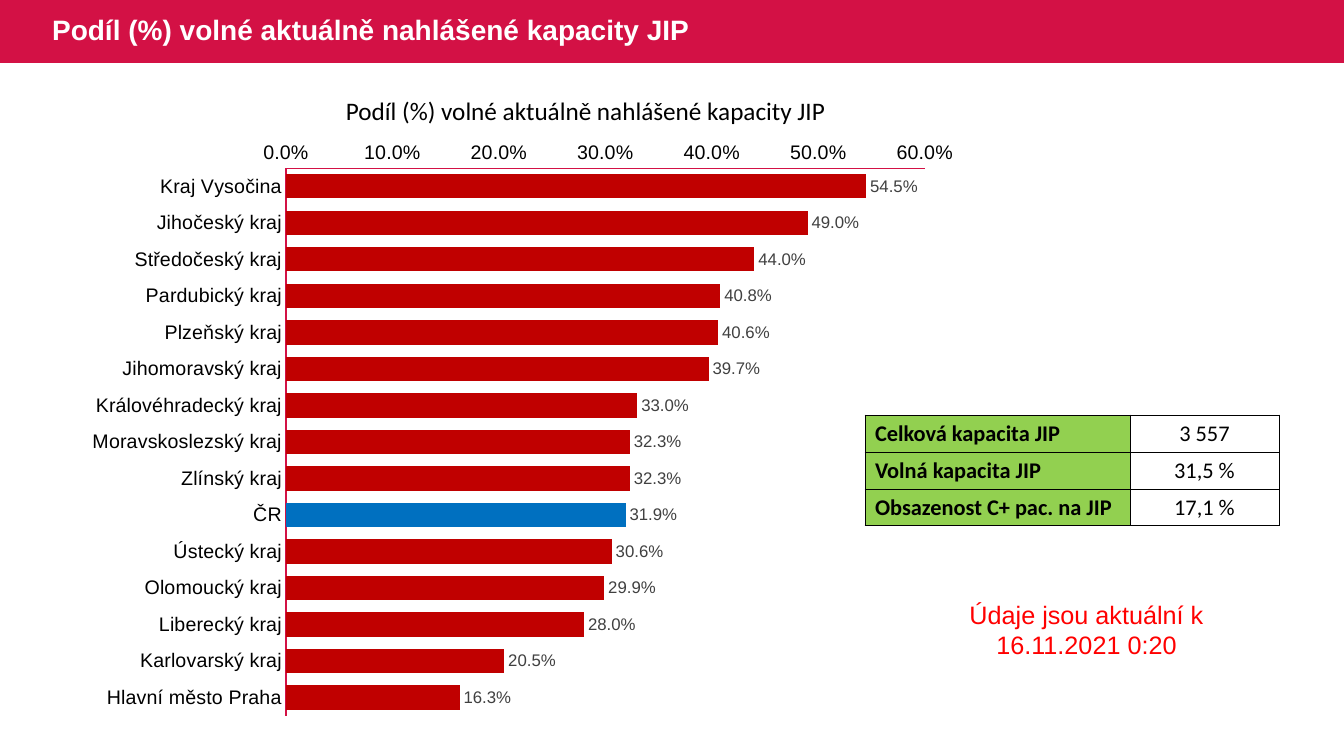
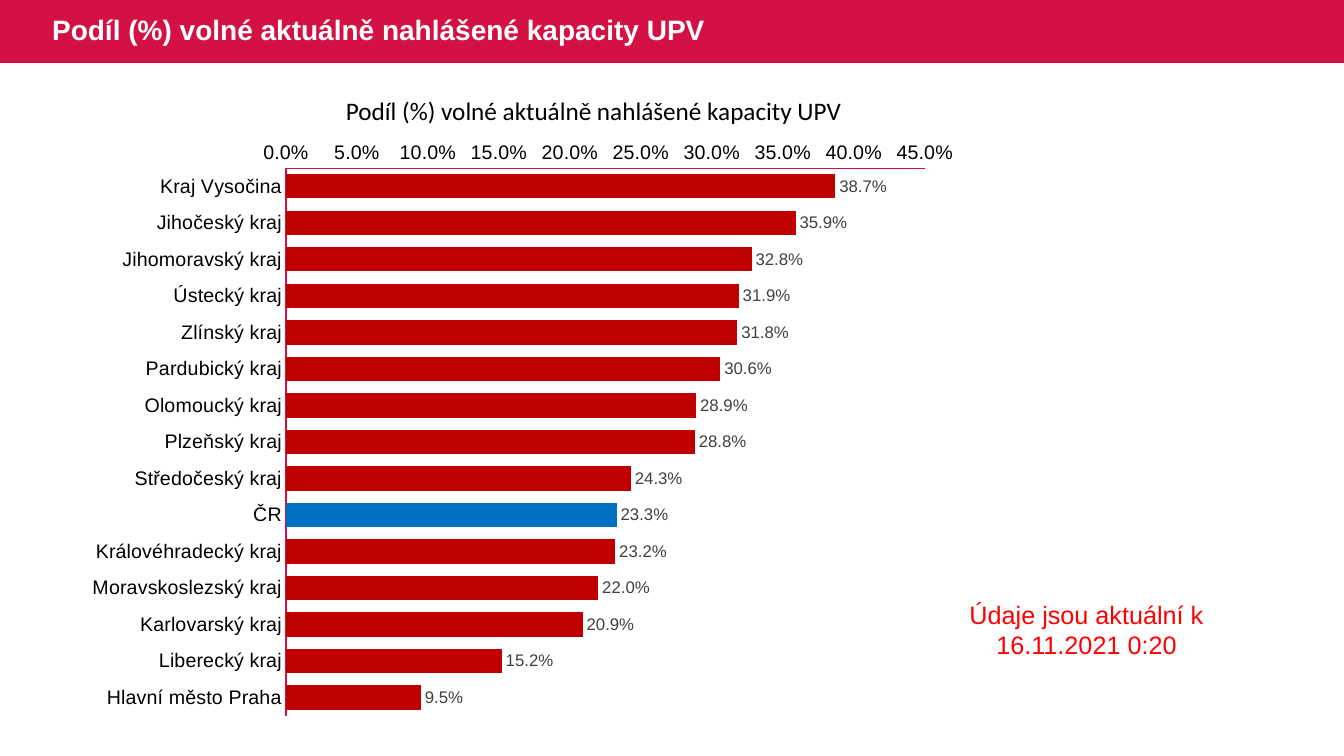
from dataclasses import dataclass

from lxml.etree import SubElement
from pptx import Presentation
from pptx.chart.data import CategoryChartData
from pptx.dml.color import RGBColor
from pptx.enum.chart import XL_CHART_TYPE, XL_LABEL_POSITION, XL_TICK_MARK
from pptx.enum.shapes import MSO_SHAPE
from pptx.enum.text import MSO_ANCHOR, MSO_AUTO_SIZE, PP_ALIGN
from pptx.oxml import parse_xml
from pptx.oxml.ns import nsdecls, qn
from pptx.util import Emu, Pt


# Theme: colours, type styles and line width
@dataclass(frozen=True)
class Theme:
    brand: str = "D31145"
    bar: str = "C00000"
    mark: str = "0070C0"
    head: str = "92D050"
    ink: str = "000000"
    line: float = 0.75


THEME = Theme()
STYLES = {
    "title": {"name": "Arial", "size": 20, "bold": True, "color": "FFFFFF"},
    "caption": {"name": "Calibri", "size": 18, "bold": False, "color": THEME.ink},
    "note": {"name": "Arial", "size": 18, "bold": False, "color": "FF0000"},
    "head": {"name": "Calibri", "size": 16, "bold": True, "color": THEME.ink},
    "cell": {"name": "Calibri", "size": 16, "bold": False, "color": THEME.ink},
    "chart": {"name": "Arial", "size": 10, "bold": False, "color": THEME.ink},
    "axis": {"name": "Arial", "size": 14, "bold": False, "color": THEME.ink},
    "label": {"name": "Arial", "size": 12, "bold": False, "color": "404040"},
}

# Content
WIDE, HIGH, BAND = 1344, 756, 63
NOTE = "Údaje jsou aktuální k 16.11.2021 0:20"
NATION = "ČR"
HEADING = "Podíl (%) volné aktuálně nahlášené kapacity "
BEDS = {
    "Kraj Vysočina": 0.545, "Jihočeský kraj": 0.49, "Středočeský kraj": 0.44,
    "Pardubický kraj": 0.408, "Plzeňský kraj": 0.406,
    "Jihomoravský kraj": 0.397, "Královéhradecký kraj": 0.33,
    "Moravskoslezský kraj": 0.323, "Zlínský kraj": 0.323, NATION: 0.319,
    "Ústecký kraj": 0.306, "Olomoucký kraj": 0.299, "Liberecký kraj": 0.28,
    "Karlovarský kraj": 0.205, "Hlavní město Praha": 0.163,
}
VENTS = {
    "Kraj Vysočina": 0.387, "Jihočeský kraj": 0.359,
    "Jihomoravský kraj": 0.328, "Ústecký kraj": 0.319, "Zlínský kraj": 0.318,
    "Pardubický kraj": 0.306, "Olomoucký kraj": 0.289, "Plzeňský kraj": 0.288,
    "Středočeský kraj": 0.243, NATION: 0.233, "Královéhradecký kraj": 0.232,
    "Moravskoslezský kraj": 0.22, "Karlovarský kraj": 0.209,
    "Liberecký kraj": 0.152, "Hlavní město Praha": 0.095,
}
TOTALS = [
    ("Celková kapacita JIP", "3 557"),
    ("Volná kapacita JIP", "31,5 %"),
    ("Obsazenost C+ pac. na JIP", "17,1 %"),
]


# Helpers
def px(count):
    return Emu(round(count * 914400 / 100.8))


def box(*sides):
    return [px(side) for side in sides]


def style(font, kind):
    for key, value in STYLES[kind].items():
        if key == "color":
            font.color.rgb = RGBColor.from_string(value)
        else:
            setattr(font, key, Pt(value) if key == "size" else value)


def paint(fill, color):
    fill.solid()
    fill.fore_color.rgb = RGBColor.from_string(color)


def write(frame, text, kind, align=PP_ALIGN.LEFT):
    frame.text = text
    para = frame.paragraphs[0]
    para.alignment = align
    style(para.runs[0].font, kind)
    return para


# Slide parts
def add_band(slide):
    """Draw the band and hand it to the layout that all slides share."""
    band = slide.shapes.add_shape(MSO_SHAPE.RECTANGLE, *box(0, 0, WIDE, BAND))
    band.shadow.inherit = False
    paint(band.fill, THEME.brand)
    band.line.fill.background()
    slide.slide_layout.shapes.element.insert(2, band.element)


def add_title(slide, text):
    title = slide.shapes.title
    title.left, title.top, title.width, title.height = box(42, 0, 1165, BAND)
    frame = title.text_frame
    frame.auto_size = MSO_AUTO_SIZE.NONE
    frame.vertical_anchor = MSO_ANCHOR.MIDDLE
    write(frame, text, "title").line_spacing = 0.9


def add_text(slide, place, text, kind, align=PP_ALIGN.LEFT):
    frame = slide.shapes.add_textbox(*box(*place)).text_frame
    frame.word_wrap = True
    write(frame, text, kind, align)


def set_axis(axis):
    axis.has_major_gridlines = False
    axis.major_tick_mark = axis.minor_tick_mark = XL_TICK_MARK.NONE
    axis.format.line.width = Pt(THEME.line)
    axis.format.line.color.rgb = RGBColor.from_string(THEME.brand)
    style(axis.tick_labels.font, "axis")


def set_plot(chart, **parts):
    """Fix the inner plot area as shares of the chart."""
    area = chart.element.find(".//" + qn("c:plotArea"))
    for old in area.findall(qn("c:layout")):
        area.remove(old)
    layout = parse_xml(f"<c:layout {nsdecls('c')}><c:manualLayout/></c:layout>")
    area.insert(0, layout)
    values = {"layoutTarget": "inner", "xMode": "edge", "yMode": "edge", **parts}
    for tag, value in values.items():
        SubElement(layout[0], qn("c:" + tag)).set("val", str(value))


def add_bars(slide, shares, top, step):
    data = CategoryChartData(number_format="0.0%")
    data.categories = list(shares)
    data.add_series("Series 1", list(shares.values()))
    chart = slide.shapes.add_chart(
        XL_CHART_TYPE.BAR_CLUSTERED, *box(75, 131, 896, 598), data).chart
    chart.has_legend = chart.has_title = False
    style(chart.font, "chart")
    set_plot(chart, x=0.2355, y=0.062, w=0.713, h=0.916)

    # Axes
    for axis in (chart.category_axis, chart.value_axis):
        set_axis(axis)
    chart.category_axis.reverse_order = True
    scale = chart.value_axis
    scale.minimum_scale, scale.maximum_scale, scale.major_unit = 0, top, step
    scale.tick_labels.number_format = "0.0%"
    scale.tick_labels.number_format_is_linked = False

    # Bars and labels
    plot = chart.plots[0]
    plot.gap_width = 50
    plot.vary_by_categories = False
    bars = plot.series[0]
    paint(bars.format.fill, THEME.bar)
    paint(bars.points[list(shares).index(NATION)].format.fill, THEME.mark)
    labels = bars.data_labels
    labels.show_value = True
    labels.number_format = "0.0%"
    labels.number_format_is_linked = False
    labels.position = XL_LABEL_POSITION.OUTSIDE_END
    style(labels.font, "label")


def set_edges(cell):
    props = cell._tc.get_or_add_tcPr()
    for spot, side in enumerate(("lnL", "lnR", "lnT", "lnB")):
        props.insert(spot, parse_xml(
            f'<a:{side} {nsdecls("a")} w="{Pt(THEME.line)}"><a:solidFill>'
            f'<a:srgbClr val="{THEME.ink}"/></a:solidFill></a:{side}>'))


def add_totals(slide, rows):
    wide, high = (265, 149), 37
    table = slide.shapes.add_table(
        len(rows), 2, *box(865, 415, sum(wide), high * len(rows))).table
    table.first_row = table.horz_banding = False
    for column, width in zip(table.columns, wide):
        column.width = px(width)
    for row, texts in enumerate(rows):
        head, value = table.cell(row, 0), table.cell(row, 1)
        write(head.text_frame, texts[0], "head")
        paint(head.fill, THEME.head)
        write(value.text_frame, texts[1], "cell", PP_ALIGN.CENTER)
        value.vertical_anchor = MSO_ANCHOR.MIDDLE
        value.fill.background()
        for cell in (head, value):
            set_edges(cell)


def add_page(deck, unit, shares, top, step):
    slide = deck.slides.add_slide(deck.slide_layouts[5])
    add_title(slide, HEADING + unit)
    add_bars(slide, shares, top, step)
    add_text(slide, (336, 90, 540, 40), HEADING + unit, "caption")
    add_text(slide, (958, 594, 257, 71), NOTE, "note", PP_ALIGN.CENTER)
    return slide


def main():
    deck = Presentation()
    deck.slide_width, deck.slide_height = box(WIDE, HIGH)
    first = add_page(deck, "JIP", BEDS, 0.6, 0.1)
    add_band(first)
    add_totals(first, TOTALS)
    add_page(deck, "UPV", VENTS, 0.45, 0.05)
    deck.save("out.pptx")


if __name__ == "__main__":
    main()
